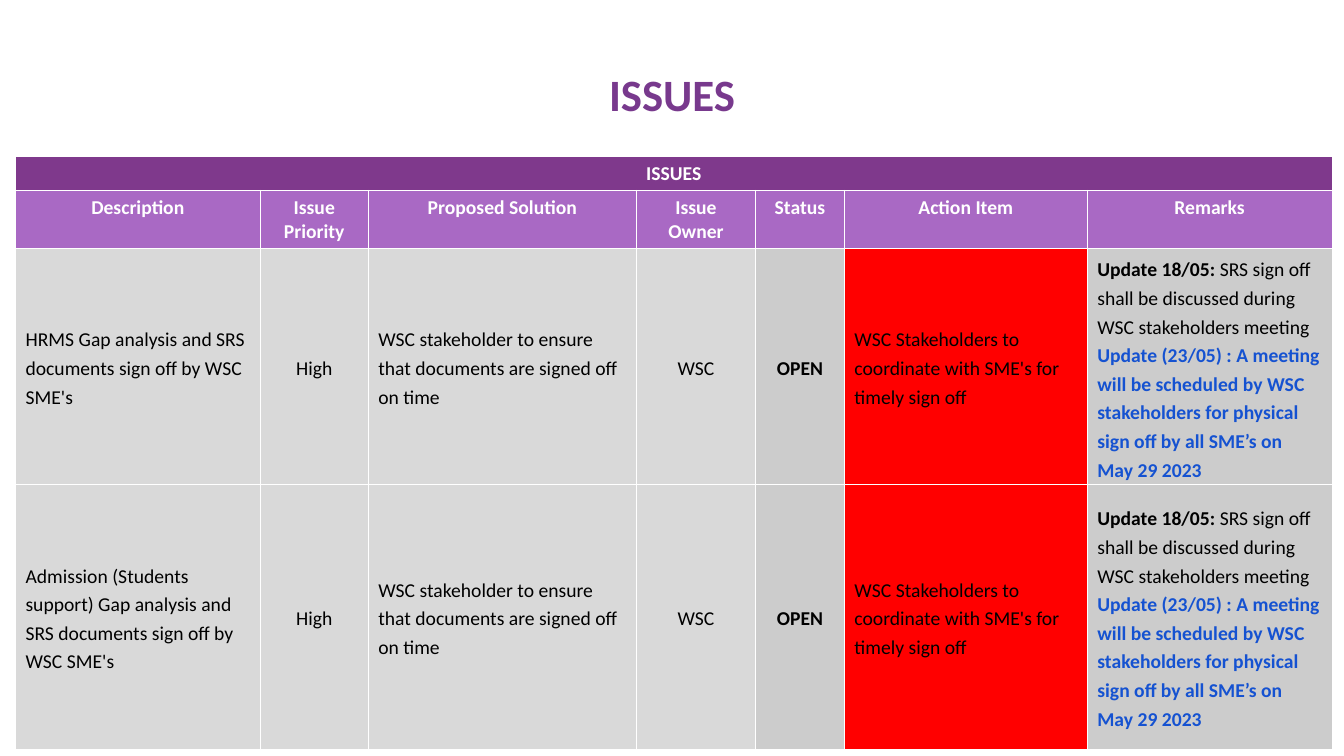
"""Build the issues slide with its tracking table."""
from pptx import Presentation
from pptx.dml.color import RGBColor
from pptx.enum.text import MSO_ANCHOR, PP_ALIGN
from pptx.oxml.ns import qn
from pptx.util import Cm, Pt
from lxml.etree import SubElement

HUES = {
    "title": "78398D", "band": "7F398C", "head": "A969C4", "light": "D9D9D9",
    "grey": "CCCCCC", "red": "FF0000", "blue": "1552D1", "black": "000000",
    "white": "FFFFFF",
}
WIDTHS = [6.17, 2.72, 6.76, 3, 2.24, 6.12, 6.17]
HEIGHTS = [0.86, 1.46, 5.94, 6.68]
HEADS = ["Description", "Issue Priority", "Proposed Solution", "Issue Owner",
         "Status", "Action Item", "Remarks"]
TASKS = ["HRMS Gap analysis and SRS documents sign off by WSC SME's",
         "Admission (Students support) Gap analysis and SRS documents sign off by WSC SME's"]
NOTES = [
    [("Update 18/05:", "black", True),
     (" SRS sign off shall be discussed during WSC stakeholders meeting", "black", False)],
    [("Update (23/05) : A meeting will be scheduled by WSC stakeholders for physical "
      "sign off by all SME’s on May 29 2023", "blue", True)],
]


def plain(text, hue="black", bold=False):
    return [[(text, hue, bold)]]


class Deck:
    def __init__(self, wide, high):
        self.show = Presentation()
        self.show.slide_width, self.show.slide_height = Cm(wide), Cm(high)
        self.slide = self.show.slides.add_slide(self.show.slide_layouts[6])
        self.font = "Calibri"

    def fill_text(self, frame, paras, size, center, space=None):
        frame.word_wrap = True
        for i, runs in enumerate(paras):
            para = frame.paragraphs[0] if i == 0 else frame.add_paragraph()
            para.alignment = PP_ALIGN.CENTER if center else PP_ALIGN.LEFT
            if space:
                para.line_spacing = space
            for text, hue, bold in runs:
                run = para.add_run()
                run.text = text
                run.font.name, run.font.size, run.font.bold = self.font, Pt(size), bold
                run.font.color.rgb = RGBColor.from_string(HUES[hue])

    def text(self, box, paras, size):
        frame = self.slide.shapes.add_textbox(*map(Cm, box)).text_frame
        frame.vertical_anchor = MSO_ANCHOR.MIDDLE
        self.fill_text(frame, paras, size, True)

    def grid(self, left, top, widths, heights):
        table = self.slide.shapes.add_table(
            len(heights), len(widths), Cm(left), Cm(top),
            Cm(sum(widths)), Cm(sum(heights))).table
        for col, wide in zip(table.columns, widths):
            col.width = Cm(wide)
        for row, high in zip(table.rows, heights):
            row.height = Cm(high)
        return table

    def cell(self, cell, paras, fill, center=True, body=False):
        props = cell._tc.get_or_add_tcPr()
        for side in ("a:lnL", "a:lnR", "a:lnT", "a:lnB"):
            line = SubElement(props, qn(side), w=str(Pt(1)))
            SubElement(SubElement(line, qn("a:solidFill")), qn("a:srgbClr"), val=HUES["white"])
        cell.fill.solid()
        cell.fill.fore_color.rgb = RGBColor.from_string(HUES[fill])
        cell.vertical_anchor = MSO_ANCHOR.MIDDLE if body else MSO_ANCHOR.TOP
        self.fill_text(cell.text_frame, paras, 14, center, 1.2 if body else None)


def main():
    deck = Deck(33.87, 19.05)
    deck.text((1.7, 0.76, 30.48, 3.18), plain("ISSUES", "title", True), 32)
    table = deck.grid(0.39, 3.94, WIDTHS, HEIGHTS)
    table.cell(0, 0).merge(table.cell(0, len(WIDTHS) - 1))
    for col, head in enumerate(HEADS):
        deck.cell(table.cell(0, col), plain("ISSUES", "white", True) if col == 0 else [], "band")
        deck.cell(table.cell(1, col), plain(head, "white", True), "head")
    for row, task in enumerate(TASKS, 2):
        parts = [
            (plain(task), "light", False),
            (plain("High"), "light", True),
            (plain("WSC stakeholder to ensure that documents are signed off on time"),
             "light", False),
            (plain("WSC"), "light", True),
            (plain("OPEN", bold=True), "grey", True),
            (plain("WSC Stakeholders to coordinate with SME's for timely sign off"),
             "red", False),
            (NOTES, "grey", False),
        ]
        for col, (paras, fill, center) in enumerate(parts):
            deck.cell(table.cell(row, col), paras, fill, center, True)
    deck.show.save("out.pptx")


if __name__ == "__main__":
    main()
